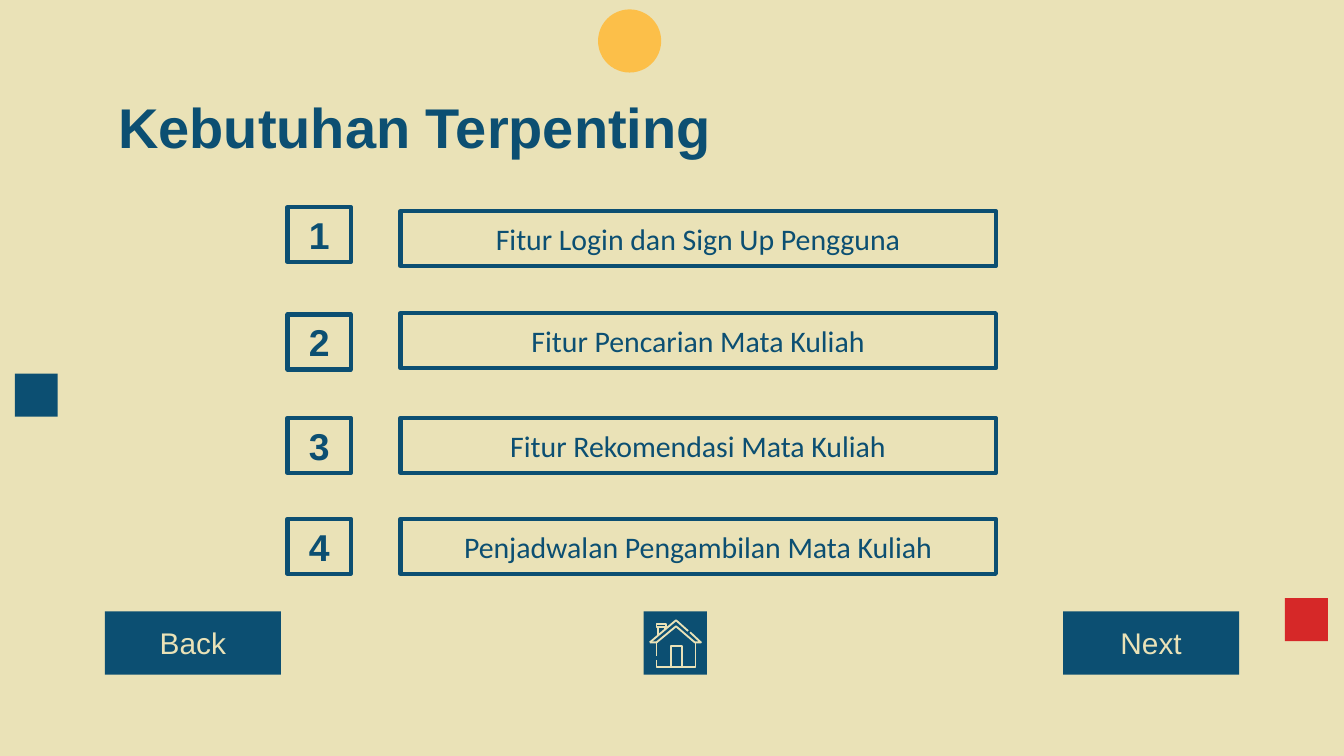
from dataclasses import dataclass

from pptx import Presentation
from pptx.dml.color import RGBColor
from pptx.enum.shapes import MSO_SHAPE
from pptx.enum.text import MSO_ANCHOR, PP_ALIGN
from pptx.util import Inches, Pt


@dataclass(frozen=True)
class Theme:
    cream: RGBColor = RGBColor.from_string("EAE2B7")
    navy: RGBColor = RGBColor.from_string("0C4F72")
    red: RGBColor = RGBColor.from_string("D62828")
    amber: RGBColor = RGBColor.from_string("FCBF49")
    heading_font: str = "Arial"
    body_font: str = "Calibri"
    title_size: int = 30
    number_size: int = 20
    body_size: int = 16
    border: float = 2.25
    icon_line: float = 1


THEME = Theme()

TITLE = "Kebutuhan Terpenting"
# feature text, top of its number box, top of its text box
FEATURES = [
    ("Fitur Login dan Sign Up Pengguna", 1.54, 1.57),
    ("Fitur Pencarian Mata Kuliah", 2.34, 2.33),
    ("Fitur Rekomendasi Mata Kuliah", 3.11, 3.11),
    ("Penjadwalan Pengambilan Mata Kuliah", 3.86, 3.86),
]
DECORATIONS = [
    (MSO_SHAPE.RECTANGLE, (9.56, 4.45, 0.32, 0.32), THEME.red),
    (MSO_SHAPE.OVAL, (4.45, 0.07, 0.47, 0.47), THEME.amber),
    (MSO_SHAPE.RECTANGLE, (0.11, 2.78, 0.32, 0.32), THEME.navy),
]
BUTTONS = [("Back", 0.78, 1.31), ("", 4.79, 0.47), ("Next", 7.91, 1.31)]
BUTTON_TOP, BUTTON_HEIGHT = 4.55, 0.47
NUMBER_LEFT, NUMBER_WIDTH = 2.14, 0.47
FEATURE_LEFT, FEATURE_WIDTH = 2.98, 4.43
ROW_HEIGHT = 0.41

# strokes of the house, in 1/200 inch from the icon's corner
HOUSE_CORNER = (4.83, 4.61)
HOUSE_UNITS = 200
HOUSE = [
    [(1, 34), (40, 1), (58, 17)],
    [(61, 19), (77, 34), (68, 34), (40, 10), (11, 34), (1, 34)],
    [(11, 34), (11, 55)],
    [(11, 60), (11, 71), (69, 71), (69, 35)],
    [(32, 71), (32, 40), (49, 40), (49, 71)],
    [(11, 7), (25, 7), (25, 11), (11, 11), (11, 7)],
    [(13, 11), (13, 23)],
    [(23, 11), (23, 15)],
]


def add_shape(page, kind, place, fill=None, line=None):
    shape = page.shapes.add_shape(kind, *map(Inches, place))
    shape.shadow.inherit = False
    if fill is None:
        shape.fill.background()
    else:
        shape.fill.solid()
        shape.fill.fore_color.rgb = fill
    if line is None:
        shape.line.fill.background()
    else:
        shape.line.color.rgb = line
        shape.line.width = Pt(THEME.border)
    return shape


def write(shape, text, size, color, font, bold=False, align=PP_ALIGN.CENTER,
          anchor=MSO_ANCHOR.MIDDLE):
    frame = shape.text_frame
    frame.word_wrap = True
    frame.vertical_anchor = anchor
    frame.margin_left = frame.margin_right = Inches(0.1)
    frame.margin_top = frame.margin_bottom = Inches(0.1)
    para = frame.paragraphs[0]
    para.text = text
    para.alignment = align
    para.font.size = Pt(size)
    para.font.name = font
    para.font.bold = bold
    para.font.color.rgb = color


def add_title(page):
    title = page.shapes.title
    title.left, title.top, title.width, title.height = map(
        Inches, (0.78, 0.59, 8.44, 0.63))
    write(title, TITLE, THEME.title_size, THEME.navy, THEME.heading_font, bold=True,
          align=PP_ALIGN.LEFT, anchor=MSO_ANCHOR.TOP)


def add_buttons(page):
    for label, left, width in BUTTONS:
        button = add_shape(page, MSO_SHAPE.RECTANGLE,
                           (left, BUTTON_TOP, width, BUTTON_HEIGHT), THEME.navy)
        if label:
            write(button, label, THEME.body_size, THEME.cream, THEME.heading_font)


def add_house(page):
    builder = page.shapes.build_freeform(*HOUSE[0][0], scale=Inches(1) / HOUSE_UNITS)
    for start, *rest in HOUSE:
        builder.move_to(*start)
        builder.add_line_segments(rest, close=False)
    house = builder.convert_to_shape(*map(Inches, HOUSE_CORNER))
    house.shadow.inherit = False
    house.fill.background()
    house.line.color.rgb = THEME.cream
    house.line.width = Pt(THEME.icon_line)


def add_features(page):
    for text, _, top in FEATURES:
        box = add_shape(page, MSO_SHAPE.RECTANGLE,
                        (FEATURE_LEFT, top, FEATURE_WIDTH, ROW_HEIGHT),
                        line=THEME.navy)
        write(box, text, THEME.body_size, THEME.navy, THEME.body_font)


def add_numbers(page):
    for number, (_, top, _) in enumerate(FEATURES, 1):
        box = add_shape(page, MSO_SHAPE.RECTANGLE,
                        (NUMBER_LEFT, top, NUMBER_WIDTH, ROW_HEIGHT),
                        line=THEME.navy)
        write(box, str(number), THEME.number_size, THEME.navy, THEME.heading_font,
              bold=True)


def main():
    deck = Presentation()
    deck.slide_width = Inches(10)
    deck.slide_height = deck.slide_width * 9 // 16
    page = deck.slides.add_slide(deck.slide_layouts[5])
    page.background.fill.solid()
    page.background.fill.fore_color.rgb = THEME.cream
    for kind, place, color in DECORATIONS:
        add_shape(page, kind, place, color)
    add_title(page)
    add_buttons(page)
    add_house(page)
    add_features(page)
    add_numbers(page)
    deck.save("out.pptx")


if __name__ == "__main__":
    main()
